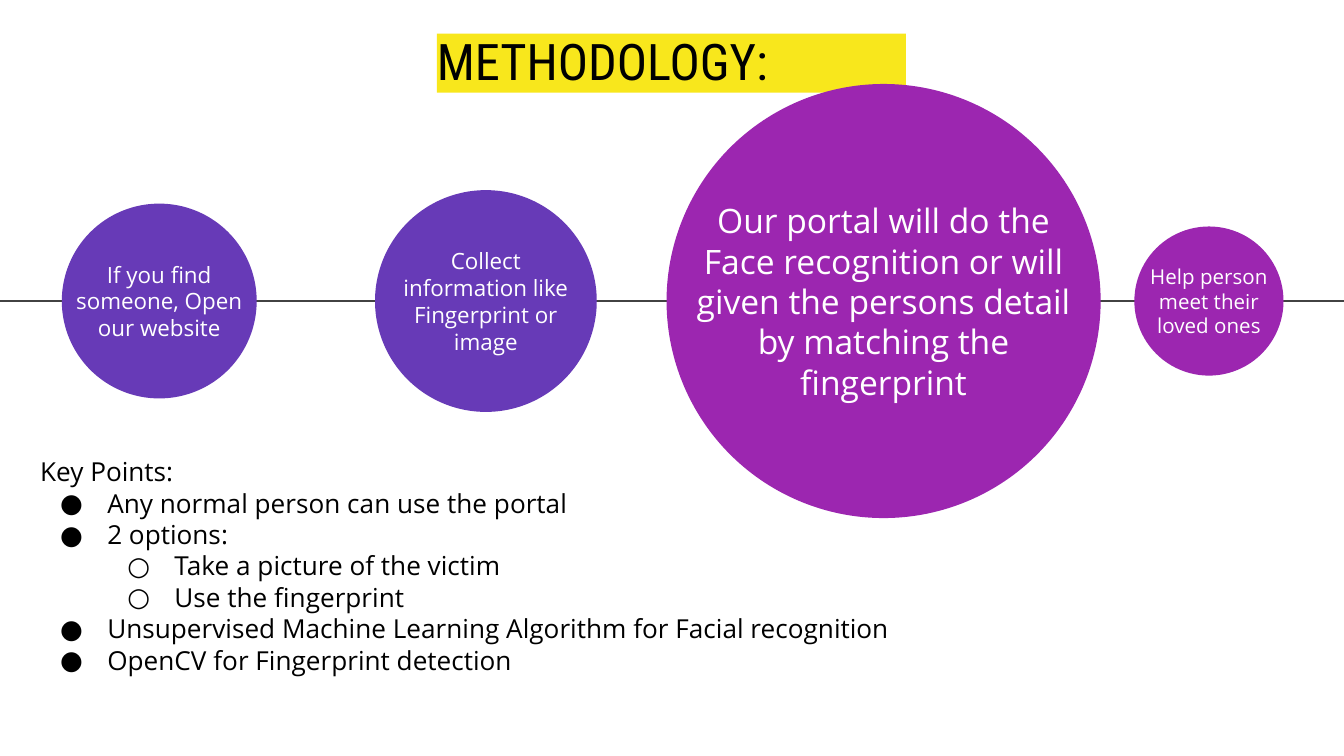
from lxml.etree import SubElement
from pptx import Presentation
from pptx.dml.color import RGBColor
from pptx.enum.shapes import MSO_CONNECTOR, MSO_SHAPE
from pptx.enum.text import MSO_ANCHOR, PP_ALIGN
from pptx.oxml.ns import qn
from pptx.util import Inches, Pt

BLACK = RGBColor(0x00, 0x00, 0x00)
WHITE = RGBColor(0xFF, 0xFF, 0xFF)
GREY = RGBColor(0x42, 0x42, 0x42)
YELLOW = RGBColor(0xF8, 0xE7, 0x1C)
VIOLET = RGBColor(0x67, 0x3A, 0xB7)
PURPLE = RGBColor(0x9C, 0x26, 0xB0)

WIDTH = 10
HEIGHT = WIDTH * 9 / 16
TIMELINE_Y = 2.24
LABEL_HEIGHT = 0.66
INSET = 0.1
TITLE_FONT = "Roboto Condensed"
BODY_FONT = "Open Sans"

TITLE = "METHODOLOGY:"
STEPS = [
    (0.46, 1.45, VIOLET, 12, "If you find someone, Open our website"),
    (2.79, 1.65, VIOLET, 12, "Collect information like Fingerprint or image"),
    (4.96, 3.23, PURPLE, 18, "Our portal will do the Face recognition or will given "
                             "the persons detail by matching the fingerprint"),
    (8.44, 1.11, PURPLE, 11, "Help person meet their loved ones"),
]
KEY_POINTS = [
    (0, "Key Points:"),
    (1, "Any normal person can use the portal"),
    (1, "2 options:"),
    (2, "Take a picture of the victim"),
    (2, "Use the fingerprint"),
    (1, "Unsupervised Machine Learning Algorithm for Facial recognition"),
    (1, "OpenCV for Fingerprint detection"),
]
BULLETS = {1: "●", 2: "○"}


def add_text(page, left, top, width, height, paragraphs, size, color,
             font=BODY_FONT, align=PP_ALIGN.LEFT, anchor=MSO_ANCHOR.TOP, inset=INSET):
    box = page.shapes.add_textbox(Inches(left), Inches(top), Inches(width), Inches(height))
    frame = box.text_frame
    frame.word_wrap = True
    frame.vertical_anchor = anchor
    frame.margin_left = frame.margin_right = Inches(inset)
    frame.margin_top = frame.margin_bottom = Inches(inset)
    frame.text = "\n".join(paragraphs)
    for paragraph in frame.paragraphs:
        paragraph.alignment = align
        for span in paragraph.runs:
            span.font.name = font
            span.font.size = Pt(size)
            span.font.color.rgb = color
    return box


def add_title(page):
    title = add_text(page, 3.25, 0.25, 3.49, 0.44, [TITLE], 27, BLACK,
                     font=TITLE_FONT, anchor=MSO_ANCHOR.MIDDLE, inset=0)
    title.text_frame.margin_bottom = Inches(0.04)
    title.fill.solid()
    title.fill.fore_color.rgb = YELLOW


def add_timeline(page):
    line = page.shapes.add_connector(
        MSO_CONNECTOR.STRAIGHT, Inches(-0.01), Inches(TIMELINE_Y),
        Inches(WIDTH), Inches(TIMELINE_Y))
    line.line.color.rgb = GREY
    line.line.width = Pt(1.5)
    SubElement(line._element.spPr, qn("a:effectLst"))


def add_step(page, left, diameter, color, size, label):
    circle = page.shapes.add_shape(
        MSO_SHAPE.OVAL, Inches(left), Inches(TIMELINE_Y - diameter / 2),
        Inches(diameter), Inches(diameter))
    circle.shadow.inherit = False
    circle.fill.solid()
    circle.fill.fore_color.rgb = color
    circle.line.fill.background()
    add_text(page, left, TIMELINE_Y - LABEL_HEIGHT / 2, diameter, LABEL_HEIGHT,
             [label], size, WHITE, align=PP_ALIGN.CENTER, anchor=MSO_ANCHOR.MIDDLE)


def add_bullet(paragraph, level):
    paragraph.level = level - 1
    properties = paragraph._p.get_or_add_pPr()
    properties.set("marL", str(Inches(0.5 * level)))
    properties.set("indent", str(Inches(-0.35)))
    color = SubElement(properties, qn("a:buClr"))
    SubElement(color, qn("a:srgbClr")).set("val", str(BLACK))
    SubElement(properties, qn("a:buFont")).set("typeface", BODY_FONT)
    SubElement(properties, qn("a:buChar")).set("char", BULLETS[level])


def add_key_points(page):
    points = add_text(page, 0.2, 3.29, 7.13, 1.85,
                      [text for _, text in KEY_POINTS], 14, BLACK)
    for paragraph, (level, _) in zip(points.text_frame.paragraphs, KEY_POINTS):
        if level:
            add_bullet(paragraph, level)


def main():
    deck = Presentation()
    deck.slide_width, deck.slide_height = Inches(WIDTH), Inches(HEIGHT)
    page = deck.slides.add_slide(deck.slide_layouts[6])
    add_title(page)
    add_timeline(page)
    for step in STEPS:
        add_step(page, *step)
    add_key_points(page)
    deck.save("out.pptx")


if __name__ == "__main__":
    main()
